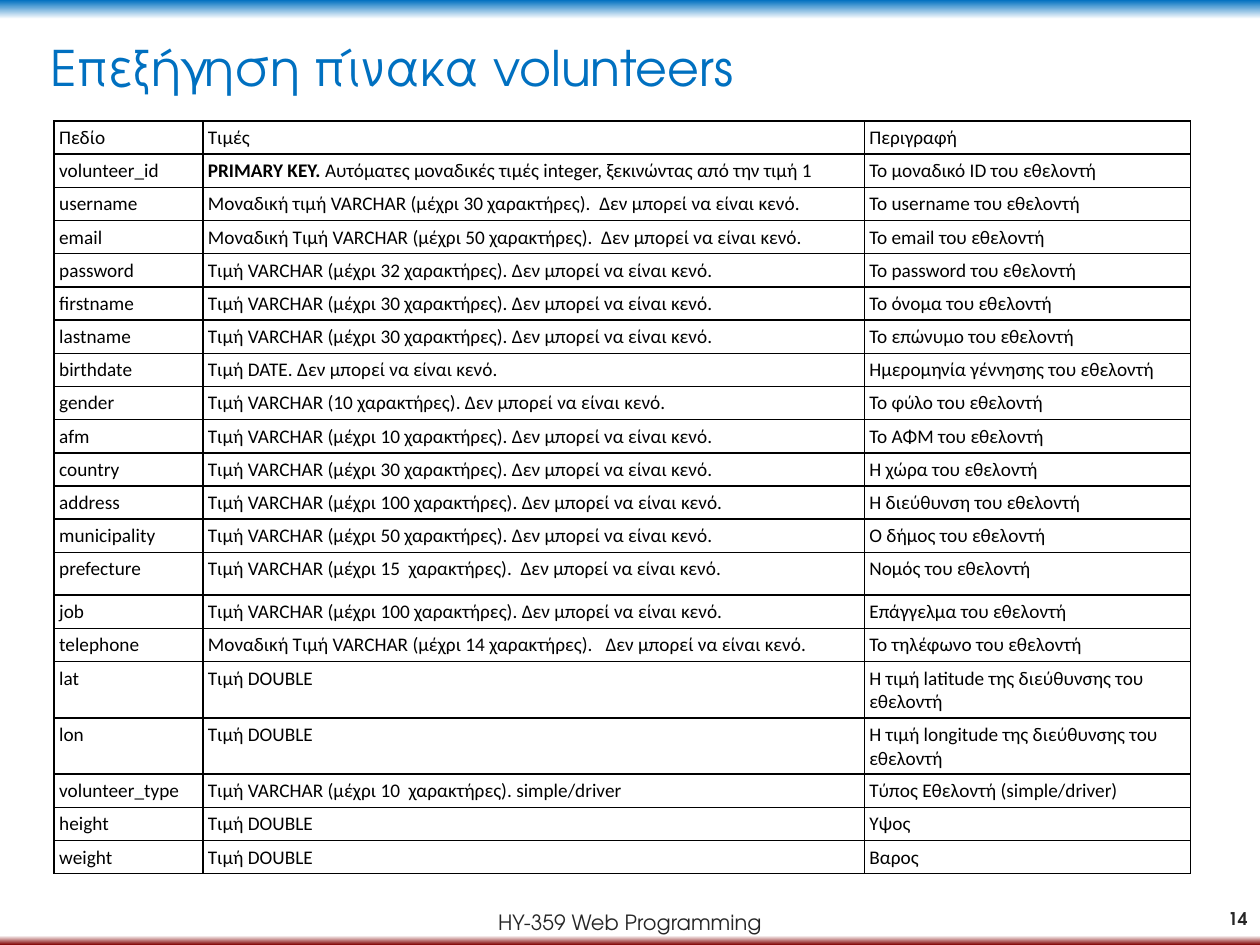
"""Build the slide that explains the fields of the volunteers table."""
from copy import deepcopy

from lxml.etree import SubElement
from pptx import Presentation
from pptx.dml.color import RGBColor as RGB
from pptx.enum.shapes import MSO_SHAPE as SHAPE
from pptx.enum.text import MSO_ANCHOR as ANCHOR, PP_ALIGN as ALIGN
from pptx.oxml.ns import qn
from pptx.util import Inches, Pt

COLORS = {"blue": "0070C0", "white": "FFFFFF", "maroon": "800000",
          "grey": "262626", "black": "000000"}
HEADING_FONT, TABLE_FONT = "TeX Gyre Adventor", "Calibri"
BACKGROUND_STOPS = [(0, "blue"), (0.02, "white"), (0.99, "white"), (1, "maroon")]

CAPTIONS = [
    ("HY-359 Web Programming", (0, 7.09, 10, 0.45), ANCHOR.MIDDLE, ALIGN.CENTER,
     {"size": Pt(12), "name": HEADING_FONT}, "grey"),
    ("14", (9.46, 7.09, 0.54, 0.4), ANCHOR.MIDDLE, ALIGN.RIGHT,
     {"size": Pt(10), "name": HEADING_FONT, "bold": True}, "grey"),
    ("Επεξήγηση πίνακα volunteers", (0.3, 0.25, 9.41, 0.71), ANCHOR.TOP, ALIGN.LEFT,
     {"size": Pt(28), "name": HEADING_FONT}, "blue"),
]

KEY = "PRIMARY KEY. "
FIELDS = [
    ("Πεδίο", "Τιμές", "Περιγραφή"),
    ("volunteer_id", KEY + "Αυτόματες μοναδικές τιμές integer, ξεκινώντας από την τιμή 1",
     "Το μοναδικό ID του εθελοντή"),
    ("username", "Μοναδική τιμή VARCHAR (μέχρι 30 χαρακτήρες).  Δεν μπορεί να είναι κενό.",
     "Το username του εθελοντή"),
    ("email", "Μοναδική Tιμή VARCHAR (μέχρι 50 χαρακτήρες).  Δεν μπορεί να είναι κενό.",
     "Το email του εθελοντή"),
    ("password", "Τιμή VARCHAR (μέχρι 32 χαρακτήρες). Δεν μπορεί να είναι κενό.",
     "Το password του εθελοντή"),
    ("firstname", "Τιμή VARCHAR (μέχρι 30 χαρακτήρες). Δεν μπορεί να είναι κενό.",
     "Το όνομα του εθελοντή"),
    ("lastname", "Τιμή VARCHAR (μέχρι 30 χαρακτήρες). Δεν μπορεί να είναι κενό.",
     "Το επώνυμο του εθελοντή"),
    ("birthdate", "Τιμή DATE. Δεν μπορεί να είναι κενό.", "Ημερομηνία γέννησης του εθελοντή"),
    ("gender", "Τιμή VARCHAR (10 χαρακτήρες). Δεν μπορεί να είναι κενό.",
     "Το φύλο του εθελοντή"),
    ("afm", "Τιμή VARCHAR (μέχρι 10 χαρακτήρες). Δεν μπορεί να είναι κενό.",
     "Το ΑΦΜ του εθελοντή"),
    ("country", "Τιμή VARCHAR (μέχρι 30 χαρακτήρες). Δεν μπορεί να είναι κενό.",
     "Η χώρα του εθελοντή"),
    ("address", "Τιμή VARCHAR (μέχρι 100 χαρακτήρες). Δεν μπορεί να είναι κενό.",
     "Η διεύθυνση του εθελοντή"),
    ("municipality", "Τιμή VARCHAR (μέχρι 50 χαρακτήρες). Δεν μπορεί να είναι κενό.",
     "Ο δήμος του εθελοντή"),
    ("prefecture", "Τιμή VARCHAR (μέχρι 15  χαρακτήρες).  Δεν μπορεί να είναι κενό.",
     "Νομός του εθελοντή"),
    ("job", "Τιμή VARCHAR (μέχρι 100 χαρακτήρες). Δεν μπορεί να είναι κενό.",
     "Επάγγελμα του εθελοντή"),
    ("telephone", "Μοναδική Τιμή VARCHAR (μέχρι 14 χαρακτήρες).   Δεν μπορεί να είναι κενό.",
     "Το τηλέφωνο του εθελοντή"),
    ("lat", "Τιμή DOUBLE", "Η τιμή latitude της διεύθυνσης του εθελοντή"),
    ("lon", "Τιμή DOUBLE", "Η τιμή longitude της διεύθυνσης του εθελοντή"),
    ("volunteer_type", "Τιμή VARCHAR (μέχρι 10  χαρακτήρες). simple/driver",
     "Τύπος Εθελοντή (simple/driver)"),
    ("height", "Τιμή DOUBLE", "Υψος"),
    ("weight", "Τιμή DOUBLE", "Βαρος"),
]
COLUMN_WIDTHS = [1.18, 5.25, 2.59]
ROW_HEIGHT = 0.25
SPECIAL_HEIGHTS = {"Πεδίο": 0.16, "prefecture": 0.34, "lat": 0.34, "lon": 0.34,
                   "height": 0.16, "weight": 0.16}
CELL_FORMAT = {"margin_left": Inches(0.04), "margin_right": Inches(0.04),
               "margin_top": Inches(0.04), "margin_bottom": Inches(0.04)}


def rgb(color):
    return RGB.from_string(COLORS[color])


def apply(target, values):
    for name, value in values.items():
        setattr(target, name, value)


def add_run(paragraph, text, font_format, color):
    run = paragraph.add_run()
    run.text = text
    apply(run.font, font_format)
    run.font.color.rgb = rgb(color)


def paint_background(slide):
    fill = slide.background.fill
    fill.gradient()
    fill.gradient_angle = 270
    stop_list = next(slide.element.iter(qn("a:gsLst")))
    while len(stop_list) < len(BACKGROUND_STOPS):
        stop_list.append(deepcopy(stop_list[0]))
    for stop, (position, color) in zip(fill.gradient_stops, BACKGROUND_STOPS):
        stop.position = position
        stop.color.rgb = rgb(color)


def add_panel(slide):
    panel = slide.shapes.add_shape(SHAPE.RECTANGLE, *map(Inches, (0.5, 0.36, 9.22, 6.76)))
    panel.shadow.inherit = False
    panel.fill.solid()
    panel.fill.fore_color.rgb = rgb("white")
    panel.line.fill.background()


def add_caption(slide, text, place, anchor, align, font_format, color):
    frame = slide.shapes.add_textbox(*map(Inches, place)).text_frame
    apply(frame, {"word_wrap": True, "vertical_anchor": anchor})
    paragraph = frame.paragraphs[0]
    paragraph.alignment = align
    add_run(paragraph, text, font_format, color)


def add_borders(cell):
    properties = cell._tc.get_or_add_tcPr()
    for index, side in enumerate(("a:lnL", "a:lnR", "a:lnT", "a:lnB")):
        border = SubElement(properties, qn(side), w=str(Pt(1)))
        properties.insert(index, border)
        solid = SubElement(border, qn("a:solidFill"))
        SubElement(solid, qn("a:srgbClr"), val=COLORS["black"])


def fill_cell(cell, text):
    apply(cell, CELL_FORMAT)
    cell.fill.background()
    add_borders(cell)
    key = KEY if text.startswith(KEY) else ""
    for part, bold in ((key, True), (text[len(key):], False)):
        if part:
            add_run(cell.text_frame.paragraphs[0], part,
                    {"size": Pt(11), "name": TABLE_FONT, "bold": bold}, "black")


def add_fields_table(slide):
    heights = [SPECIAL_HEIGHTS.get(field[0], ROW_HEIGHT) for field in FIELDS]
    place = (0.43, 0.96, sum(COLUMN_WIDTHS), sum(heights))
    table = slide.shapes.add_table(len(FIELDS), len(COLUMN_WIDTHS), *map(Inches, place)).table
    apply(table, {"first_row": False, "horz_banding": False})
    for column, width in zip(table.columns, COLUMN_WIDTHS):
        column.width = Inches(width)
    for row, height, field in zip(table.rows, heights, FIELDS):
        row.height = Inches(height)
        for cell, text in zip(row.cells, field):
            fill_cell(cell, text)


def main():
    deck = Presentation()
    apply(deck, {"slide_width": Inches(10), "slide_height": Inches(7.5)})
    slide = deck.slides.add_slide(deck.slide_layouts[6])
    paint_background(slide)
    add_panel(slide)
    for caption in CAPTIONS:
        add_caption(slide, *caption)
    add_fields_table(slide)
    deck.save("out.pptx")


if __name__ == "__main__":
    main()
